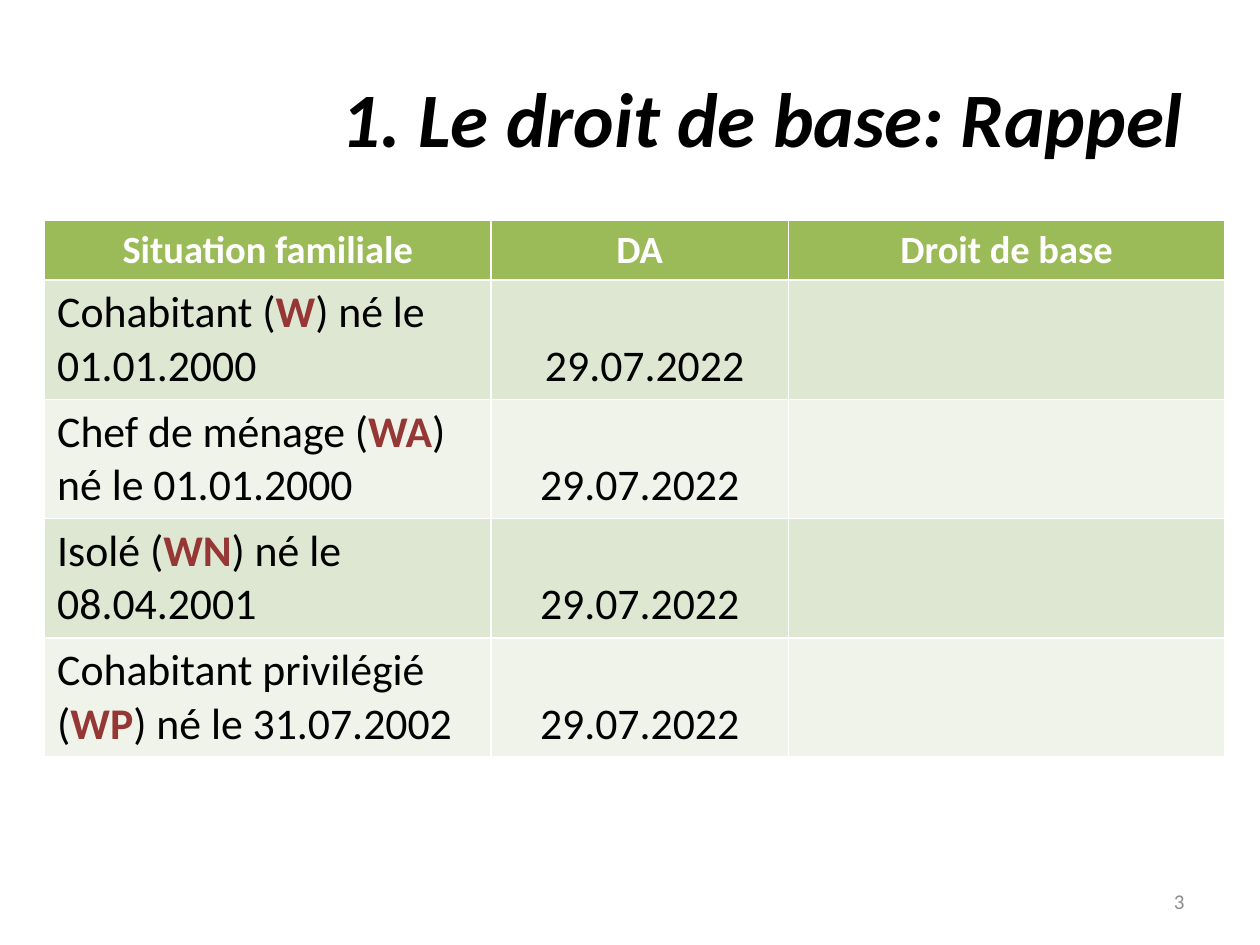
from pptx import Presentation
from pptx.dml.color import RGBColor
from pptx.enum.text import MSO_ANCHOR as Anchor, PP_ALIGN as Align
from pptx.util import Pt

FONT = "Calibri"
BLACK, WHITE, GREY, RED = "000000", "FFFFFF", "8C8C8C", "953735"
HEADER_FILL, BAND_FILLS = "9BBB59", ("DEE7D1", "EFF3EA")

HEADERS = ("Situation familiale", "DA", "Droit de base")
# Text before the code, code, text after it, date
CASES = (
    ("Cohabitant (", "W", ") né le 01.01.2000", " 29.07.2022"),
    ("Chef de ménage (", "WA", ") né le 01.01.2000", "29.07.2022"),
    ("Isolé (", "WN", ") né le 08.04.2001", "29.07.2022"),
    ("Cohabitant privilégié (", "WP", ") né le 31.07.2002", "29.07.2022"),
)
COL_WIDTHS = (255, 170, 249.5)
HEADER_HEIGHT, ROW_HEIGHT = 33.5, 68


def rgb(value):
    return RGBColor.from_string(value)


def style(p, size, color, align=Align.LEFT, bold=False, italic=False):
    p.alignment = align
    font = p.font
    font.name, font.size = FONT, Pt(size)
    font.bold, font.italic = bold, italic
    font.color.rgb = rgb(color)


def fill_cell(cell, color):
    cell.fill.solid()
    cell.fill.fore_color.rgb = rgb(color)


def add_title(s, x, y, w, h):
    sp = s.shapes.title
    sp.left, sp.top, sp.width, sp.height = Pt(x), Pt(y), Pt(w), Pt(h)
    tf = sp.text_frame
    tf.text = "1. Le droit de base: Rappel"
    tf.vertical_anchor = Anchor.MIDDLE
    style(tf.paragraphs[0], 44, BLACK, Align.RIGHT, bold=True, italic=True)


def add_rights_table(s, x, y):
    height = HEADER_HEIGHT + ROW_HEIGHT * len(CASES)
    table = s.shapes.add_table(len(CASES) + 1, len(HEADERS), Pt(x), Pt(y),
                               Pt(sum(COL_WIDTHS)), Pt(height)).table
    for column, width in zip(table.columns, COL_WIDTHS):
        column.width = Pt(width)

    # Header row
    table.rows[0].height = Pt(HEADER_HEIGHT)
    for cell, text in zip(table.rows[0].cells, HEADERS):
        fill_cell(cell, HEADER_FILL)
        cell.text = text
        style(cell.text_frame.paragraphs[0], 22, WHITE, Align.CENTER, bold=True)

    # One banded row per family situation
    for i, (before, code, after, date) in enumerate(CASES):
        row = table.rows[i + 1]
        row.height = Pt(ROW_HEIGHT)
        for cell in row.cells:
            fill_cell(cell, BAND_FILLS[i % 2])

        p = row.cells[0].text_frame.paragraphs[0]
        style(p, 25, BLACK)
        for text in (before, code, after):
            r = p.add_run()
            r.text = text
            if text == code:
                r.font.bold = True
                r.font.color.rgb = rgb(RED)

        row.cells[1].text = date
        p = row.cells[1].text_frame.paragraphs[0]
        p.line_spacing = 2.0
        style(p, 25, BLACK, Align.CENTER)


def add_page_number(s, x, y, w, h):
    tf = s.shapes.add_textbox(Pt(x), Pt(y), Pt(w), Pt(h)).text_frame
    tf.word_wrap = True
    tf.vertical_anchor = Anchor.MIDDLE
    tf.text = "3"
    style(tf.paragraphs[0], 12, GREY, Align.RIGHT)


def main():
    prs = Presentation()
    prs.slide_width, prs.slide_height = Pt(720), Pt(540)
    s = prs.slides.add_slide(prs.slide_layouts[5])
    add_title(s, 36, 21.6, 648, 90)
    add_rights_table(s, 25.5, 126)
    add_page_number(s, 516, 500.5, 168, 28.75)
    prs.save("out.pptx")


if __name__ == "__main__":
    main()
